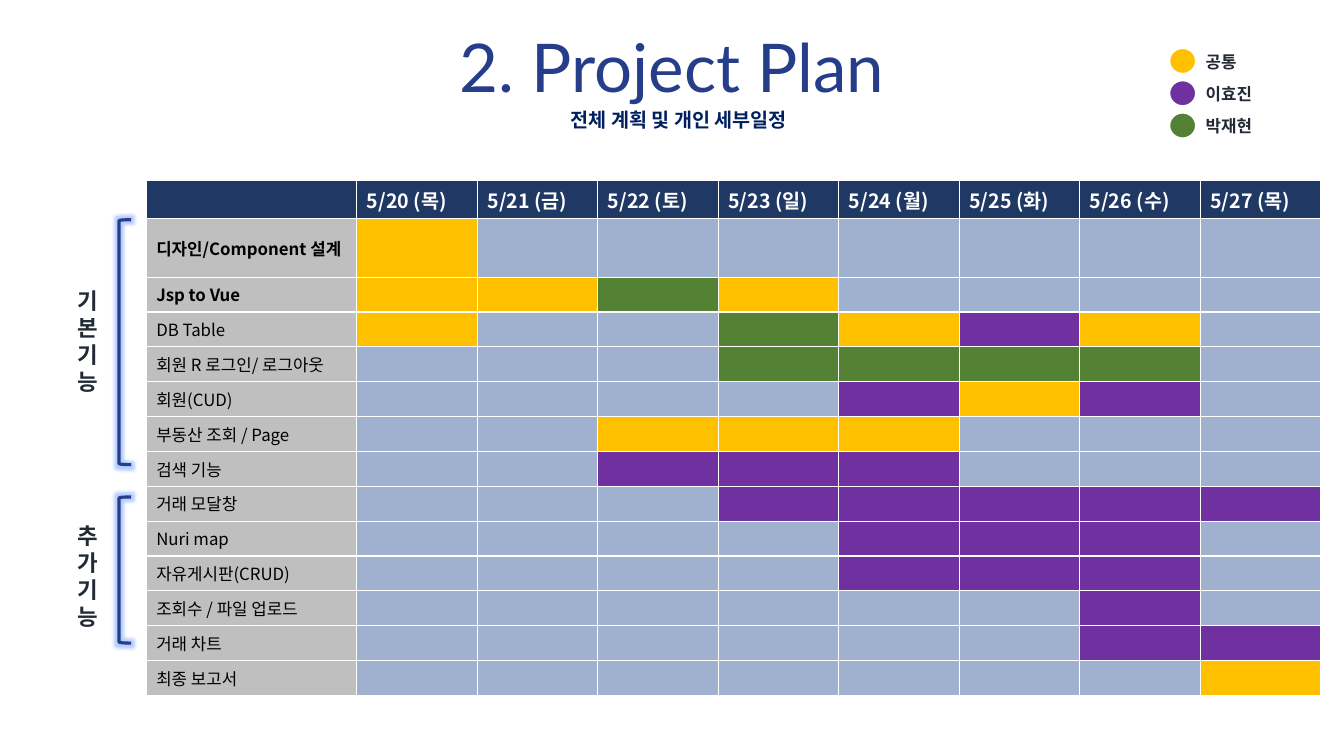
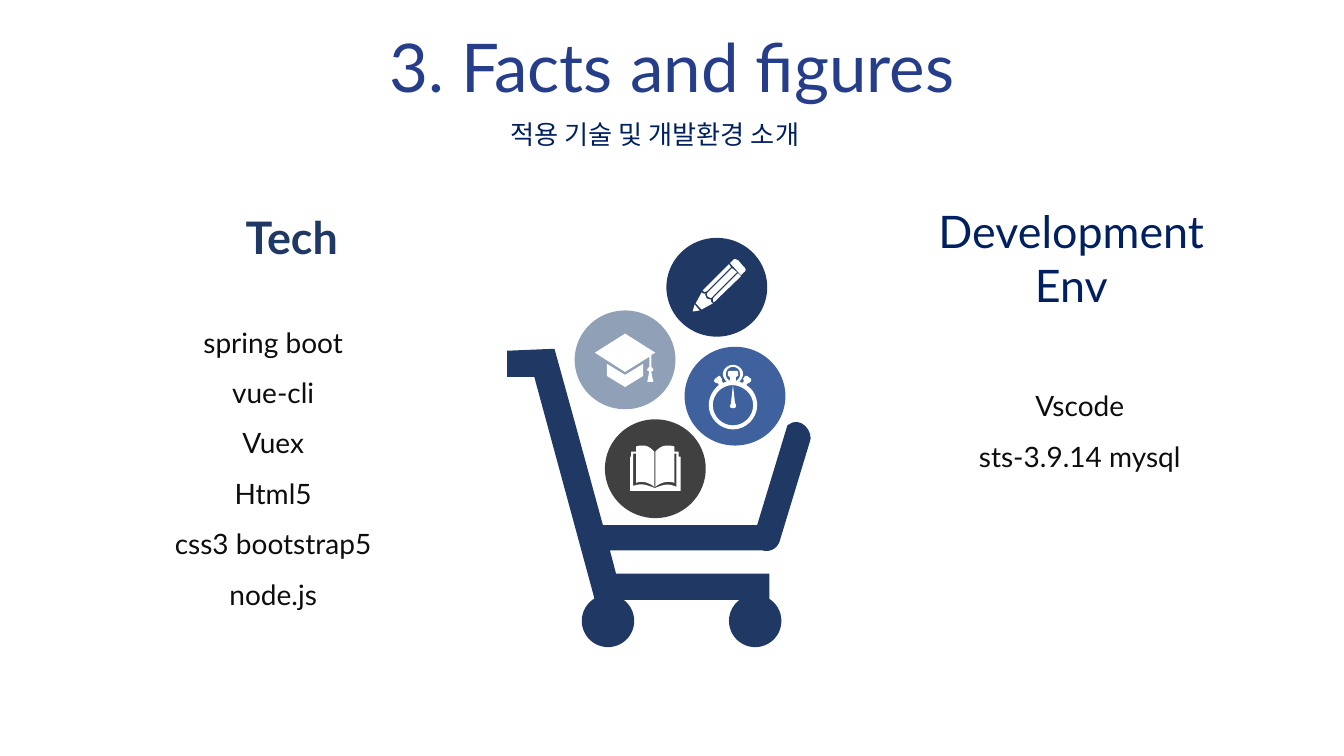
from dataclasses import dataclass

from lxml import etree
from pptx import Presentation
from pptx.dml.color import RGBColor
from pptx.enum.shapes import MSO_SHAPE
from pptx.enum.text import MSO_ANCHOR, PP_ALIGN
from pptx.oxml.ns import qn
from pptx.util import Emu, Pt

OVAL, BRACKET = MSO_SHAPE.OVAL, MSO_SHAPE.LEFT_BRACKET
LEFT, CENTER, RIGHT = PP_ALIGN.LEFT, PP_ALIGN.CENTER, PP_ALIGN.RIGHT
TOP, MIDDLE = MSO_ANCHOR.TOP, MSO_ANCHOR.MIDDLE
SCALE = 9144  # EMU in one px, 100 px to the inch
WIDTH, HEIGHT = 1333, 750


@dataclass(frozen=True)
class Theme:
    latin: str = "Lato"
    korean: str = "Noto Sans CJK KR"
    white: str = "FFFFFF"
    black: str = "000000"
    title: str = "263E8A"
    deep: str = "002060"
    navy: str = "203864"
    blue: str = "2F5597"
    slate: str = "8497B0"
    coal: str = "404040"
    ink: str = "222A35"
    body: str = "0D0D0D"
    label: str = "BFBFBF"
    glow: str = "6C9BFF"
    gold: str = "FFC000"
    purple: str = "7030A0"
    green: str = "548235"
    huge: float = 48
    large: float = 32
    list: float = 20
    lead: float = 18.7
    side: float = 16
    head: float = 14
    small: float = 12


T = Theme()

OWNERS = {"C": ("공통", T.gold), "H": ("이효진", T.purple), "P": ("박재현", T.green)}
DAYS = "목금토일월화수목"
FIRST_DAY = 20
BOLD_TASKS = 2
TASKS = [
    ("디자인/Component 설계", "C......."),
    ("Jsp to Vue", "CCPC...."),
    ("DB Table", "C..PCHC."),
    ("회원 R 로그인/ 로그아웃", "...PPPP."),
    ("회원(CUD)", "....HCH."),
    ("부동산 조회 / Page", "..CCC..."),
    ("검색 기능", "..HHH..."),
    ("거래 모달창", "...HHHHH"),
    ("Nuri map", "....HHH."),
    ("자유게시판(CRUD)", "....HHH."),
    ("조회수 / 파일 업로드", "......H."),
    ("거래 차트", "......HH"),
    ("최종 보고서", ".......C"),
]

# Each outline is a list of closed loops: L starts straight lines, C curves.
CART = ["""550 346 571 422 598 521 751 521 781 422 C 794 411 808 429 803 439
 L 773 538 C 770 545 763 548 756 546 L 605 546 611 569 763 569 763 595
 590 595 530 374 503 374 503 348"""]
BOOK = ["""649 484 650 484 C 658 481 662 479 671 483 L 671 450 669 450 669 479
 C 663 477 656 478 650 483 L 650 448 C 654 444 657 442 662 442
 664 442 666 442 669 443 L 669 448 673 448 673 453 675 453 675 487 625 487
 625 453 626 453 626 448 631 448 631 443 C 633 442 636 442 638 442
 642 442 645 444 649 448 L 649 483 C 643 478 636 477 631 479
 L 631 450 628 450 628 482 C 637 479 641 481 649 484"""]
CAP = ["602 361 620 372 638 361 638 373 620 384 602 373",
       """620 331 650 350 646 352 646 364 C 647 365 648 366 648 367
 648 368 647 368 646 369 L 648 379 642 379 644 369
 C 643 368 642 368 642 367 642 366 643 365 644 364 L 644 354 620 369 590 350"""]
PENCIL = ["689 302 694 308 687 309",
          """696 290 C 697 291 699 292 700 291 699 292 700 294 701 296
 703 297 704 297 705 297 705 298 705 300 707 301 L 696 307 690 301""",
          "732 271 735 274 708 300 C 707 299 707 296 708 295",
          """726 266 731 270 707 294 C 706 296 704 296 702 294
 701 293 701 291 702 290""",
          "723 262 725 265 702 288 C 700 290 698 290 697 288",
          """729 257 C 730 257 731 258 732 258 L 738 265
 C 740 266 740 269 738 270 737 271 736 272 735 273
 L 724 261 727 258 C 727 258 728 257 729 257"""]
WATCH = ["""727 382 C 716 382 707 391 707 402 707 413 716 422 727 422
 738 422 747 413 747 402 747 391 738 383 727 382 L 729 400
 C 730 401 730 402 730 403 730 404 729 405 727 405 725 405 724 404 724 403
 724 402 725 401 725 400""",
         """727 364 C 723 364 720 367 720 371 720 374 721 376 724 378
 L 724 374 722 373 722 369 723 368 731 368 732 369 732 373 730 374 730 378
 C 733 376 734 374 734 371 734 367 731 364 727 364""",
         """727 362 C 732 362 737 366 737 371 737 374 735 377 733 379
 734 379 735 379 736 380 L 738 378 737 376 739 373 741 373 745 376 745 378
 743 380 742 380 740 382 C 747 386 751 394 751 402 751 415 740 426 727 426
 714 426 703 415 703 402 703 394 707 387 713 382
 L 712 380 710 380 708 378 709 376 713 373 714 373 716 376 716 378 717 380
 C 719 379 720 379 721 379 719 377 717 374 717 371 717 366 722 362 727 362"""]


def px(n):
    return Emu(round(n * SCALE))


def rgb(code):
    return RGBColor.from_string(code)


def paint(fill, color, alpha=100):
    fill.solid()
    fill.fore_color.rgb = rgb(color)
    if alpha < 100:
        tone = fill._xPr.find(qn("a:solidFill")).find(qn("a:srgbClr"))
        etree.SubElement(tone, qn("a:alpha"), val=str(alpha * 1000))


def style(para, font, size, color, bold=False):
    for run in para.runs:
        run.font.name = font
        run.font.size = Pt(size)
        run.font.bold = bold
        run.font.color.rgb = rgb(color)
        props = run._r.get_or_add_rPr()
        etree.SubElement(props, qn("a:ea"), typeface=font)


def write(slide, box, text, font, size, color, bold=False,
          align=LEFT, anchor=TOP, space=1.0):
    frame = slide.shapes.add_textbox(*map(px, box)).text_frame
    frame.word_wrap = True
    frame.vertical_anchor = anchor
    frame.text = text
    for para in frame.paragraphs:
        para.alignment = align
        para.line_spacing = space
        style(para, font, size, color, bold)


def head(slide, text):
    write(slide, (0, 28, WIDTH, 84), text, T.latin, T.huge, T.title,
          align=CENTER, anchor=MIDDLE, space=0.9)


def disc(slide, box, color, alpha=100, edge=None):
    shape = slide.shapes.add_shape(OVAL, *map(px, box))
    shape.shadow.inherit = False
    paint(shape.fill, color, alpha)
    if edge:
        shape.line.color.rgb = rgb(edge)
        shape.line.width = Pt(1)
    else:
        shape.line.fill.background()


def bracket(slide, box):
    shape = slide.shapes.add_shape(BRACKET, *map(px, box))
    shape.shadow.inherit = False
    shape.fill.background()
    shape.line.color.rgb = rgb(T.title)
    shape.line.width = Pt(2.25)
    effects = shape._element.spPr.find(qn("a:effectLst"))
    glow = etree.SubElement(effects, qn("a:glow"), rad=str(int(Pt(5))))
    tone = etree.SubElement(glow, qn("a:srgbClr"), val=T.glow)
    etree.SubElement(tone, qn("a:alpha"), val="50000")


def bend(start, nums, steps=8):
    """Points along a cubic curve, without its start."""
    knots = [start, nums[:2], nums[2:4], nums[4:]]
    points = []
    for i in range(1, steps + 1):
        t = i / steps
        u = 1 - t
        parts = (u ** 3, 3 * u * u * t, 3 * u * t * t, t ** 3)
        points.append(tuple(sum(p * k[a] for p, k in zip(parts, knots))
                            for a in (0, 1)))
    return points


def trace(loop):
    """Turn the lines and curves of a loop into a list of points."""
    mode, nums, points = "L", [], []
    for token in loop.split():
        if token.isalpha():
            mode = token
            continue
        nums.append(int(token))
        if mode == "L" and len(nums) == 2:
            points.append(tuple(nums))
            nums = []
        elif mode == "C" and len(nums) == 6:
            points += bend(points[-1], nums)
            nums = []
    return [(px(x), px(y)) for x, y in points]


def draw(slide, loops, color):
    first, *rest = map(trace, loops)
    pen = slide.shapes.build_freeform(*first[0], scale=1.0)
    pen.add_line_segments(first[1:], close=True)
    for points in rest:
        pen.move_to(*points[0])
        pen.add_line_segments(points[1:], close=True)
    shape = pen.convert_to_shape()
    shape.shadow.inherit = False
    paint(shape.fill, color)
    shape.line.fill.background()


def frame_cell(cell):
    props = cell._tc.get_or_add_tcPr()
    for i, side in enumerate(("lnL", "lnR", "lnT", "lnB")):
        line = etree.Element(qn(f"a:{side}"), w=str(int(Pt(1))))
        fill = etree.SubElement(line, qn("a:solidFill"))
        etree.SubElement(fill, qn("a:srgbClr"), val=T.white)
        props.insert(i, line)


def set_cell(cell, fill, alpha=100, text="", size=T.small, color=T.black, bold=False):
    cell.margin_top = cell.margin_bottom = 0
    cell.vertical_anchor = MIDDLE
    cell.text = text
    style(cell.text_frame.paragraphs[0], T.korean, size, color, bold)
    paint(cell.fill, fill, alpha)
    frame_cell(cell)


def chart_plan(slide):
    rows, cols = len(TASKS) + 1, len(DAYS) + 1
    table = slide.shapes.add_table(rows, cols, *map(px, (145, 179, 1165, 511))).table
    table.first_row = table.horz_banding = False
    for i, col in enumerate(table.columns):
        col.width = px(209) if i == 0 else px(956) // len(DAYS)
    for i, row in enumerate(table.rows):
        row.height = px((38, 58)[i]) if i < 2 else px(415) // (rows - 2)

    set_cell(table.cell(0, 0), T.navy)
    for c, day in enumerate(DAYS, 1):
        set_cell(table.cell(0, c), T.navy, text=f"5/{FIRST_DAY + c - 1} ({day})",
                 size=T.head, color=T.white, bold=True)
    for r, (task, marks) in enumerate(TASKS, 1):
        set_cell(table.cell(r, 0), T.label, text=task, bold=r <= BOLD_TASKS)
        for c, mark in enumerate(marks, 1):
            if mark in OWNERS:
                set_cell(table.cell(r, c), OWNERS[mark][1])
            else:
                set_cell(table.cell(r, c), T.blue, 46)


def plan_slide(slide):
    head(slide, "2. Project Plan")
    chart_plan(slide)
    for top, tall, text_top, text in ((218, 243, 280, "기본기능"),
                                      (493, 145, 513, "추가\n기능")):
        bracket(slide, (118, top, 12, tall))
        write(slide, (67, text_top, 43, 118), text, T.korean, T.side, T.ink, True)
    write(slide, (556, 102, 364, 34), "전체 계획 및 개인 세부일정",
          T.korean, T.head, T.deep, True)
    for i, (name, color) in enumerate(OWNERS.values()):
        disc(slide, (1160, 48 + 32 * i, 26, 25), color, edge=T.white)
        write(slide, (1186, 46 + 32 * i, 81, 30), name,
              T.korean, T.small, T.ink, True)


def facts_slide(slide):
    head(slide, "3. Facts and figures")
    write(slide, (-17, 114, WIDTH, 42), "적용 기술 및 개발환경 소개", T.korean,
          T.lead, T.deep, align=CENTER, anchor=MIDDLE, space=0.9)

    draw(slide, CART, T.navy)
    for left in (577, 723):
        disc(slide, (left, 590, 52, 52), T.navy)
    for left, top, color, alpha, icon in (
            (570, 308, T.slate, 91, CAP), (679, 344, T.blue, 92, WATCH),
            (600, 416, T.coal, 100, BOOK), (661, 236, T.navy, 100, PENCIL)):
        disc(slide, (left, top, 100, 98), color, alpha)
        draw(slide, icon, T.white)

    write(slide, (177, 203, 168, 64), "Tech", T.latin, T.large, T.navy, True, RIGHT)
    write(slide, (890, 197, 345, 118), "Development Env", T.latin, T.large, T.deep,
          align=CENTER)
    for box, text in (
            ((161, 301, 220, 358),
             "spring boot\nvue-cli\nVuex\nHtml5\ncss3 bootstrap5 node.js"),
            ((961, 364, 220, 156), "Vscode\nsts-3.9.14 mysql")):
        write(slide, box, text, T.latin, T.list, T.body, align=CENTER, space=1.5)


def main():
    deck = Presentation()
    deck.slide_width, deck.slide_height = px(WIDTH), px(HEIGHT)
    blank = deck.slide_layouts[6]
    for build in (plan_slide, facts_slide):
        build(deck.slides.add_slide(blank))
    deck.save("out.pptx")


if __name__ == "__main__":
    main()
